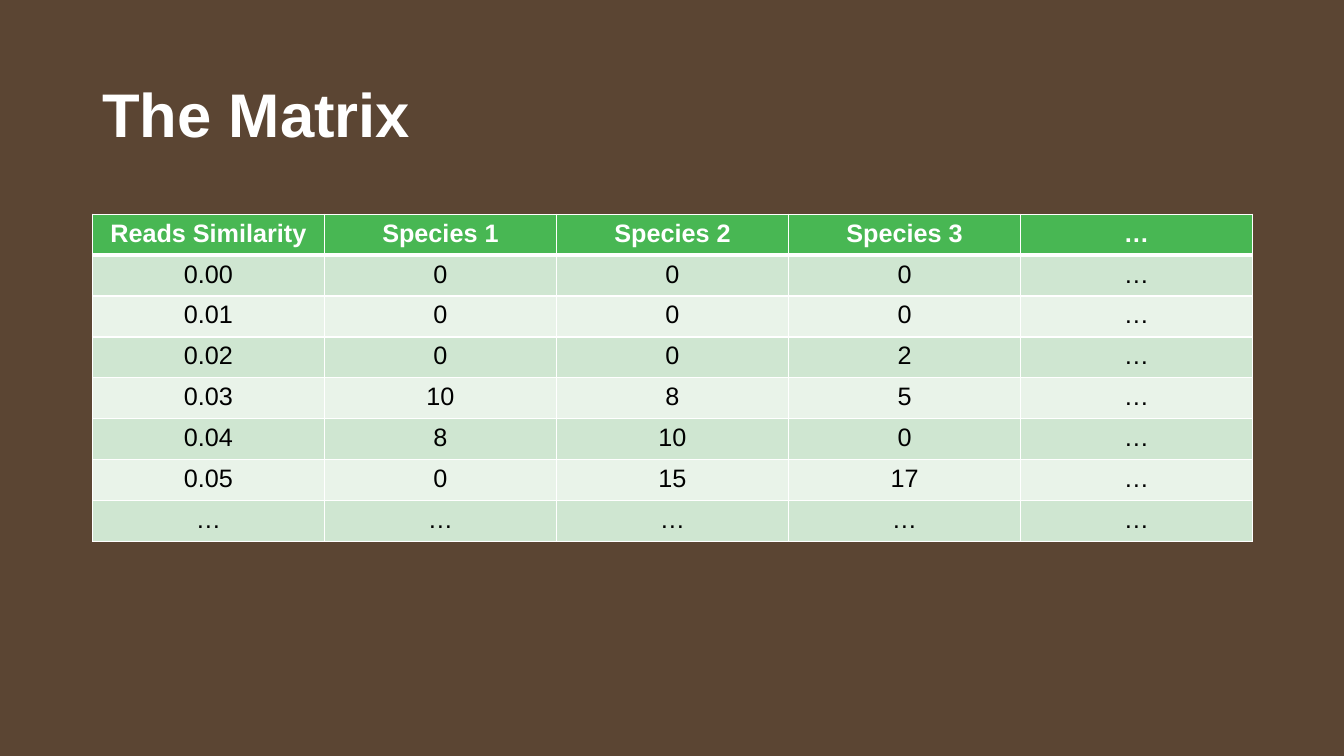
from dataclasses import dataclass

from lxml.etree import SubElement
from pptx import Presentation
from pptx.dml.color import RGBColor as Rgb
from pptx.enum.text import MSO_ANCHOR as Anchor, PP_ALIGN as Align
from pptx.oxml.ns import qn
from pptx.util import Emu, Pt


@dataclass(frozen=True)
class Theme:
    font: str = "Arial"
    background: str = "5B4533"
    light: str = "FFFFFF"
    dark: str = "000000"
    header: str = "48B753"
    bands: tuple = ("CFE6D1", "E9F3E9")
    title_size: int = 44
    table_size: int = 18
    thin: int = 1
    thick: int = 3


def px(count):
    return Emu(count * 9525)


class SlideBuilder:
    """Draws styled elements on one slide, with lengths in px at 96 per inch."""

    def __init__(self, slide, theme):
        self.slide = slide
        self.theme = theme

    def background(self):
        fill = self.slide.background.fill
        fill.solid()
        fill.fore_color.rgb = Rgb.from_string(self.theme.background)

    def style(self, paragraph, size, color, bold):
        font = paragraph.font
        font.name = self.theme.font
        font.size = Pt(size)
        font.bold = bold
        font.color.rgb = Rgb.from_string(color)

    def title(self, text, left, top, width, height):
        frame = self.slide.shapes.add_textbox(*map(px, (left, top, width, height))).text_frame
        frame.word_wrap = True
        frame.vertical_anchor = Anchor.MIDDLE
        frame.text = text
        self.style(frame.paragraphs[0], self.theme.title_size, self.theme.light, True)

    def borders(self, cell, top, bottom):
        properties = cell._tc.get_or_add_tcPr()
        thin = self.theme.thin
        for side, width in (("L", thin), ("R", thin), ("T", top), ("B", bottom)):
            line = SubElement(properties, qn(f"a:ln{side}"), w=str(Pt(width)))
            SubElement(SubElement(line, qn("a:solidFill")), qn("a:srgbClr"), val=self.theme.light)

    def cell(self, cell, text, row):
        theme = self.theme
        is_header = row == 0
        self.borders(
            cell,
            top=theme.thick if row == 1 else theme.thin,
            bottom=theme.thick if is_header else theme.thin,
        )
        cell.fill.solid()
        color = theme.header if is_header else theme.bands[(row - 1) % 2]
        cell.fill.fore_color.rgb = Rgb.from_string(color)
        cell.text = text
        paragraph = cell.text_frame.paragraphs[0]
        paragraph.alignment = Align.CENTER
        self.style(paragraph, theme.table_size, theme.light if is_header else theme.dark, is_header)

    def table(self, rows, left, top, column_width, row_height):
        row_count, column_count = len(rows), len(rows[0])
        size = (column_width * column_count, row_height * row_count)
        table = self.slide.shapes.add_table(
            row_count, column_count, *map(px, (left, top, *size))
        ).table
        for row, texts in enumerate(rows):
            for column, text in enumerate(texts):
                self.cell(table.cell(row, column), text, row)


MATRIX = [
    ("Reads Similarity", "Species 1", "Species 2", "Species 3", "…"),
    ("0.00", "0", "0", "0", "…"),
    ("0.01", "0", "0", "0", "…"),
    ("0.02", "0", "0", "2", "…"),
    ("0.03", "10", "8", "5", "…"),
    ("0.04", "8", "10", "0", "…"),
    ("0.05", "0", "15", "17", "…"),
    ("…",) * 5,
]


def main():
    presentation = Presentation()
    presentation.slide_width, presentation.slide_height = px(1280), px(720)
    slide = presentation.slides.add_slide(presentation.slide_layouts[6])
    builder = SlideBuilder(slide, Theme())
    builder.background()
    builder.title("The Matrix", left=88, top=38, width=1104, height=139)
    builder.table(MATRIX, left=88, top=204, column_width=221, row_height=39)
    presentation.save("out.pptx")


if __name__ == "__main__":
    main()
